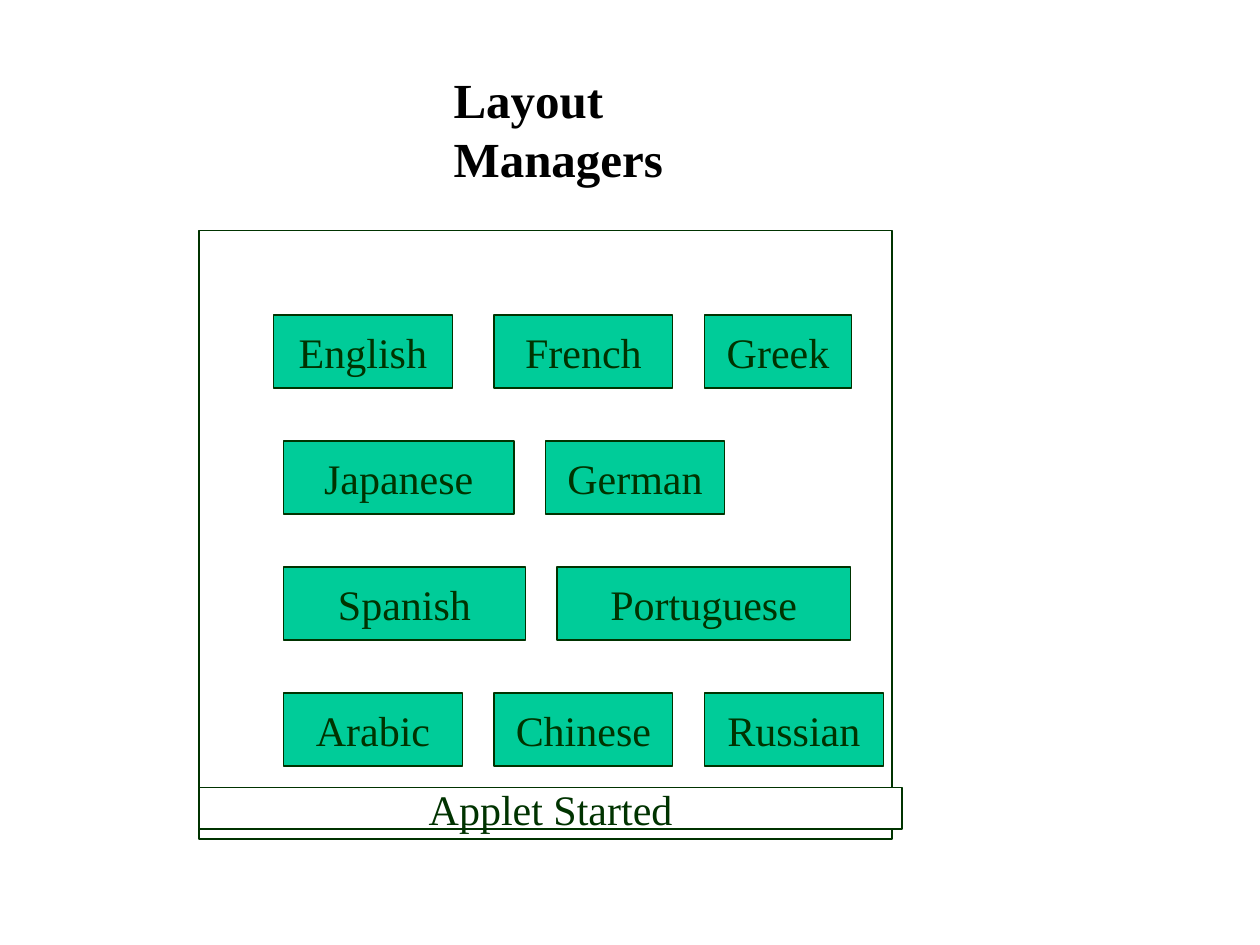
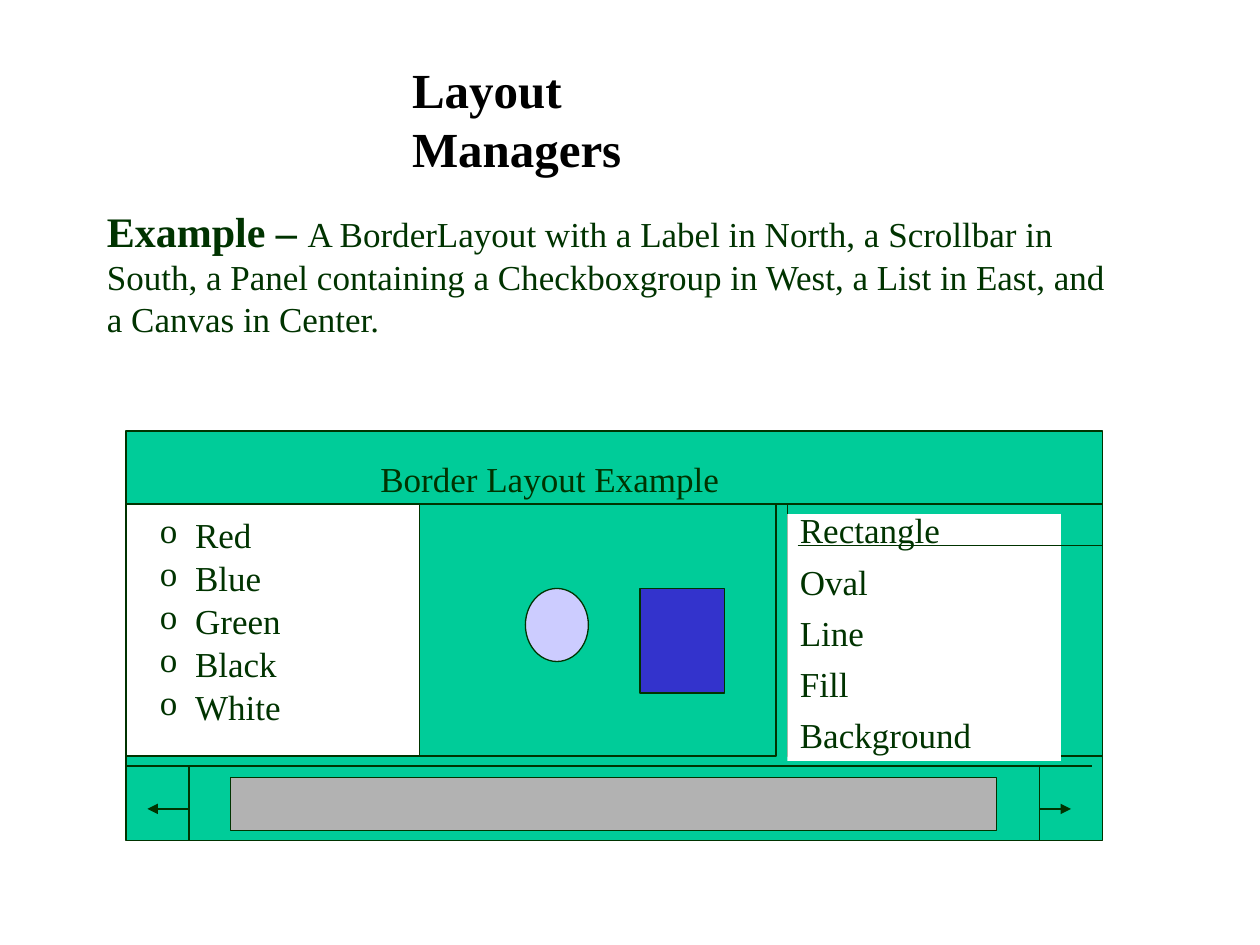
from dataclasses import dataclass

from lxml.etree import SubElement
from pptx import Presentation
from pptx.dml.color import RGBColor as RGB
from pptx.enum.shapes import MSO_CONNECTOR as LINK, MSO_SHAPE as SHAPE
from pptx.enum.text import MSO_ANCHOR as ANCHOR, MSO_AUTO_SIZE as FIT, PP_ALIGN as ALIGN
from pptx.oxml.ns import qn
from pptx.util import Inches, Pt


@dataclass(frozen=True)
class Theme:
    font: str = "Times New Roman"
    title: str = "000000"
    ink: str = "003300"
    green: str = "00CC99"
    white: str = "FFFFFF"
    lilac: str = "CCCCFF"
    blue: str = "3333CC"
    gray: str = "B2B2B2"
    head: int = 28
    large: int = 24
    body: int = 20
    rule: float = 0.75
    space: float = 12.5


class Deck:
    """Holds the style and the current slide."""

    def __init__(self, theme):
        self.theme = theme
        self.prs = Presentation()
        self.prs.slide_width, self.prs.slide_height = Inches(10), Inches(7.5)
        self.slide = None

    def run(self, para, text, size, color=None, bold=False):
        run = para.add_run()
        run.text = text
        font = run.font
        font.name, font.size, font.bold = self.theme.font, Pt(size), bold
        font.color.rgb = RGB.from_string(color or self.theme.ink)

    def title(self, text, left, top):
        """Start a slide with its title."""
        self.slide = self.prs.slides.add_slide(self.prs.slide_layouts[5])
        box = self.slide.shapes.title
        box.left, box.top = Inches(left), Inches(top)
        box.width, box.height = Inches(3.14), Inches(0.57)
        frame = box.text_frame
        frame.auto_size, frame.word_wrap = FIT.NONE, False
        frame.vertical_anchor = ANCHOR.TOP
        para = frame.paragraphs[0]
        para.alignment = ALIGN.LEFT
        self.run(para, text, self.theme.head, self.theme.title, True)

    def shape(self, at, fill, kind=SHAPE.RECTANGLE, edge=True, label=None):
        item = self.slide.shapes.add_shape(kind, *map(Inches, at))
        item.shadow.inherit = False
        item.fill.solid()
        item.fill.fore_color.rgb = RGB.from_string(fill)
        if edge:
            item.line.color.rgb = RGB.from_string(self.theme.ink)
            item.line.width = Pt(self.theme.rule)
        else:
            item.line.fill.background()
        if label:
            frame = item.text_frame
            frame.word_wrap, frame.vertical_anchor = False, ANCHOR.MIDDLE
            para = frame.paragraphs[0]
            para.alignment = ALIGN.CENTER
            self.run(para, label, self.theme.large)
        return item

    def text(self, at):
        """Add a wrapping text box and return its frame."""
        frame = self.slide.shapes.add_textbox(*map(Inches, at)).text_frame
        frame.word_wrap = True
        return frame

    def items(self, frame, names, pitch, mark=None):
        """Fill a frame with one paragraph per name."""
        for i, name in enumerate(names):
            para = frame.add_paragraph() if i else frame.paragraphs[0]
            para.alignment = ALIGN.LEFT
            para.line_spacing = pitch
            if i:
                para.space_before = Pt(self.theme.space)
            if mark:
                props = para._p.get_or_add_pPr()
                props.set("marL", str(Inches(0.28)))
                props.set("indent", str(-Inches(0.28)))
                SubElement(props, qn("a:buFont"), typeface=self.theme.font)
                SubElement(props, qn("a:buChar"), char=mark)
            self.run(para, name, self.theme.body)

    def line(self, start, end, arrow=False):
        link = self.slide.shapes.add_connector(
            LINK.STRAIGHT, *map(Inches, (*start, *end)))
        link.line.color.rgb = RGB.from_string(self.theme.ink)
        link.line.width = Pt(self.theme.rule)
        if arrow:
            SubElement(link.line._get_or_add_ln(), qn("a:tailEnd"), type="triangle")
        SubElement(link._element.spPr, qn("a:effectLst"))


TITLE = "Layout Managers"
ROWS = [
    [("English", 1.42), ("French", 1.42), ("Greek", 1.17)],
    [("Japanese", 1.83), ("German", 1.42)],
    [("Spanish", 1.92), ("Portuguese", 2.33)],
    [("Arabic", 1.42), ("Chinese", 1.42), ("Russian", 1.42)],
]
NUDGE = {"English": -0.08}
COLORS = ["Red", "Blue", "Green", "Black", "White"]
TOOLS = ["Rectangle", "Oval", "Line", "Fill", "Background"]


def flow(deck):
    theme = deck.theme
    deck.title(TITLE, 3.5, 0.5)

    # Applet window
    deck.shape((1.58, 1.83, 5.5, 4.83), theme.white)

    # Rows of language buttons
    for i, row in enumerate(ROWS):
        left = 2.25
        for name, width in row:
            x = left + NUDGE.get(name, 0)
            deck.shape((x, 2.5 + i, width, 0.58), theme.green, label=name)
            left += width + 0.25

    # Status bar
    deck.shape((1.58, 6.25, 5.58, 0.33), theme.white, label="Applet Started")


def border(deck):
    theme = deck.theme
    deck.title(TITLE, 3.17, 0.42)

    # Lead text
    para = deck.text((0.75, 1.58, 8.17, 1.17)).paragraphs[0]
    deck.run(para, "Example – ", theme.large, bold=True)
    deck.run(para, "A BorderLayout with a Label in North, a Scrollbar in South, "
             "a Panel containing a Checkboxgroup in West, a List in East, "
             "and a Canvas in Center.", theme.body)

    # Window and north label
    deck.shape((1, 3.42, 7.75, 3.25), theme.green)
    deck.line((1, 4), (8.75, 4))
    label = deck.text((2.92, 3.58, 4.75, 0.44))
    deck.run(label.paragraphs[0], "Border Layout Example", theme.body)

    # South scrollbar with its arrows
    deck.line((1, 6.08), (8.67, 6.08))
    for x, tip in ((1.5, 1.17), (8.25, 8.5)):
        deck.line((x, 6.08), (x, 6.67))
        deck.line((x, 6.42), (tip, 6.42), arrow=True)
    deck.shape((1.83, 6.17, 6.08, 0.42), theme.gray)

    # West, east and center panels
    for x, width, fill in ((1, 2.33, theme.white), (6.25, 2.5, theme.green),
                           (3.33, 2.83, theme.green)):
        deck.shape((x, 4, width, 2), fill)

    # Canvas figures
    deck.shape((4.17, 4.67, 0.5, 0.58), theme.lilac, SHAPE.OVAL)
    deck.shape((5.08, 4.67, 0.67, 0.83), theme.blue)

    # East list
    tools = deck.shape((6.25, 4.08, 2.17, 1.96), theme.white, edge=False).text_frame
    tools.word_wrap, tools.vertical_anchor = True, ANCHOR.TOP
    deck.items(tools, TOOLS, 0.7)
    deck.line((6.33, 4.33), (8.75, 4.33))

    # West check boxes
    deck.items(deck.text((1.17, 4.17, 2, 1.63)), COLORS, 0.5, mark="o")


def main():
    deck = Deck(Theme())
    flow(deck)
    border(deck)
    deck.prs.save("out.pptx")


if __name__ == "__main__":
    main()
